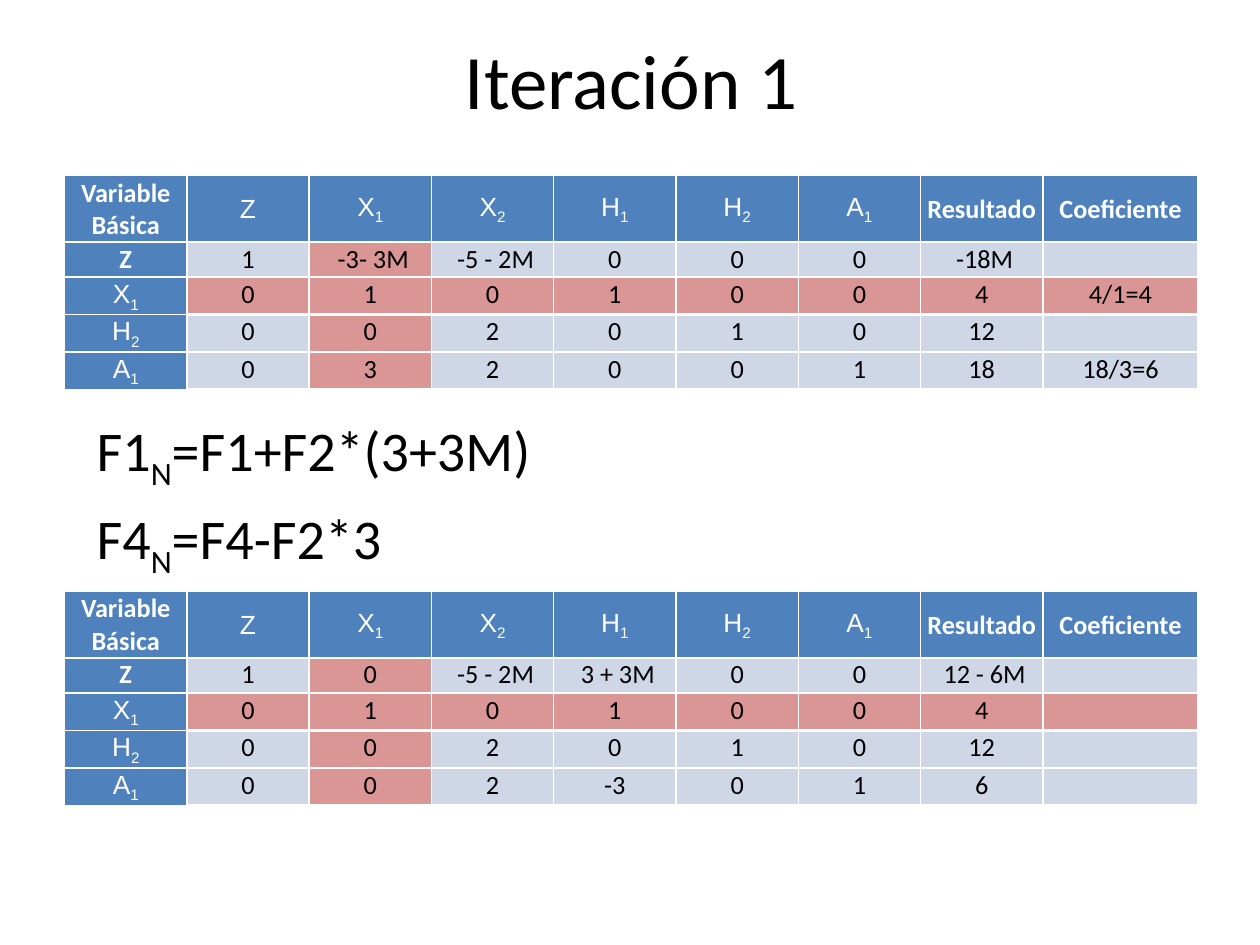
import pptx
import pptx.util
import pptx.dml.color
import pptx.enum.text
import pptx.oxml.ns
import lxml.etree

Pt = pptx.util.Pt
qn = pptx.oxml.ns.qn
ALIGN = pptx.enum.text.PP_ALIGN
ANCHOR = pptx.enum.text.MSO_ANCHOR

COLORS = {
    "head": "4F81BD",
    "body": "CFD7E7",
    "pivot": "DA9694",
    "white": "FFFFFF",
    "black": "000000",
}
COLS = [69.9] * 8 + [88.8]
ROWS = [38, 20.2] + [21.4] * 3
HEADS = ["Variable Básica", "Z", "X_1", "X_2", "H_1", "H_2", "A_1", "Resultado", "Coeficiente"]
FIRST = [
    HEADS,
    ["Z", "1", " -3- 3M", " -5 - 2M", "0", "0", "0", " -18M", ""],
    ["X_1", "0", "1", "0", "1", "0", "0", "4", "4/1=4"],
    ["H_2", "0", "0", "2", "0", "1", "0", "12", ""],
    ["A_1", "0", "3", "2", "0", "0", "1", "18", "18/3=6"],
]
NEXT = [
    HEADS,
    ["Z", "1", "0", " -5 - 2M", " 3 + 3M", "0", "0", " 12 - 6M", ""],
    ["X_1", "0", "1", "0", "1", "0", "0", "4", ""],
    ["H_2", "0", "0", "2", "0", "1", "0", "12", ""],
    ["A_1", "0", "0", "2", "-3", "0", "1", "6", ""],
]


class Deck:
    font = "Calibri"
    symbol = "Arial"
    pivot_row = 2
    pivot_col = 2

    def __init__(self):
        self.prs = pptx.Presentation()
        self.prs.slide_width, self.prs.slide_height = Pt(720), Pt(540)
        self.slide = self.prs.slides.add_slide(self.prs.slide_layouts[6])

    def color(self, name):
        return pptx.dml.color.RGBColor.from_string(COLORS[name])

    def label(self, para, text, size, color="black", font=None, bold=False, align=None):
        base, *subs = text.split("_")
        parts = [(base, False)]
        for sub in subs:
            parts += [(sub[0], True), (sub[1:], False)]
        for part, low in parts:
            if part:
                run = para.add_run()
                run.text = part
                if low:
                    run._r.get_or_add_rPr().set("baseline", "-25000")
        para.alignment = align
        para.font.name = font or self.font
        para.font.size = Pt(size)
        para.font.bold = bold
        para.font.color.rgb = self.color(color)
        if not text:
            lxml.etree.SubElement(para._p, qn("a:endParaRPr"), sz=str(size * 100))

    def text(self, box, lines, size, align=ALIGN.LEFT, anchor=ANCHOR.TOP, gap=0):
        frame = self.slide.shapes.add_textbox(*map(Pt, box)).text_frame
        frame.word_wrap = True
        frame.vertical_anchor = anchor
        frame.margin_left = frame.margin_right = Pt(7.2)
        frame.margin_top = frame.margin_bottom = Pt(7.2)
        for i, line in enumerate(lines):
            para = frame.add_paragraph() if i else frame.paragraphs[0]
            self.label(para, line, size, align=align)
            if i:
                para.space_before = Pt(gap)

    def border(self, cell, edge, width):
        props = cell._tc.get_or_add_tcPr()
        line = lxml.etree.SubElement(props, qn("a:ln" + edge), w=str(int(Pt(width))))
        fill = lxml.etree.SubElement(line, qn("a:solidFill"))
        lxml.etree.SubElement(fill, qn("a:srgbClr"), val=COLORS["white"])

    def cell(self, cell, text, row, col):
        head = row == 0 or col == 0
        sign = head and ("_" in text or (row == 0 and text == "Z"))
        pivot = row == self.pivot_row or (col == self.pivot_col and row)
        cell.margin_left = cell.margin_right = cell.margin_top = Pt(0.7)
        cell.margin_bottom = 0
        middle = row == 0 or (col == 0 and sign)
        cell.vertical_anchor = ANCHOR.MIDDLE if middle else ANCHOR.TOP
        for edge in "LRTB":
            self.border(cell, edge, 1.5 if edge in "TB" and not head else 1)
        cell.fill.solid()
        cell.fill.fore_color.rgb = self.color("head" if head else "pivot" if pivot else "body")
        self.label(
            cell.text_frame.paragraphs[0], text, 15,
            "white" if head else "black",
            self.symbol if sign else self.font,
            head and not sign, ALIGN.CENTER,
        )

    def table(self, left, top, data):
        size = Pt(sum(COLS)), Pt(sum(ROWS))
        frame = self.slide.shapes.add_table(len(ROWS), len(COLS), Pt(left), Pt(top), *size)
        table = frame.table
        table.first_row = table.horz_banding = False
        for col, width in zip(table.columns, COLS):
            col.width = Pt(width)
        for row, height in zip(table.rows, ROWS):
            row.height = Pt(height)
        for r, line in enumerate(data):
            for c, text in enumerate(line):
                self.cell(table.cell(r, c), text, r, c)


def main():
    deck = Deck()
    deck.text((36.7, 0, 648, 90), ["Iteración 1"], 44, ALIGN.CENTER, ANCHOR.MIDDLE)
    deck.text((48.2, 230.4, 648, 92.9), ["F1_N=F1+F2*(3+3M)", "F4_N=F4-F2*3"], 32, gap=6.4)
    for top, data in ((100.2, FIRST), (337.9, NEXT)):
        deck.table(36.9, top, data)
    deck.prs.save("out.pptx")


if __name__ == "__main__":
    main()
